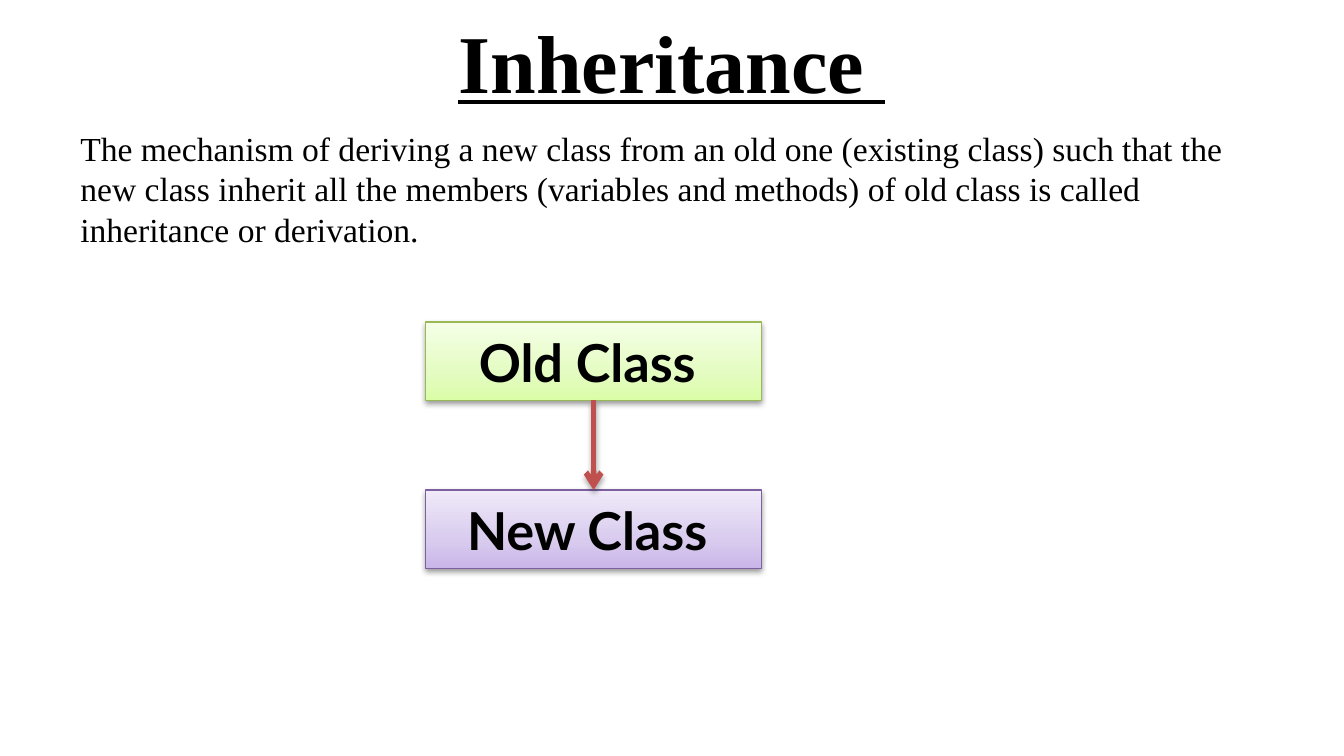
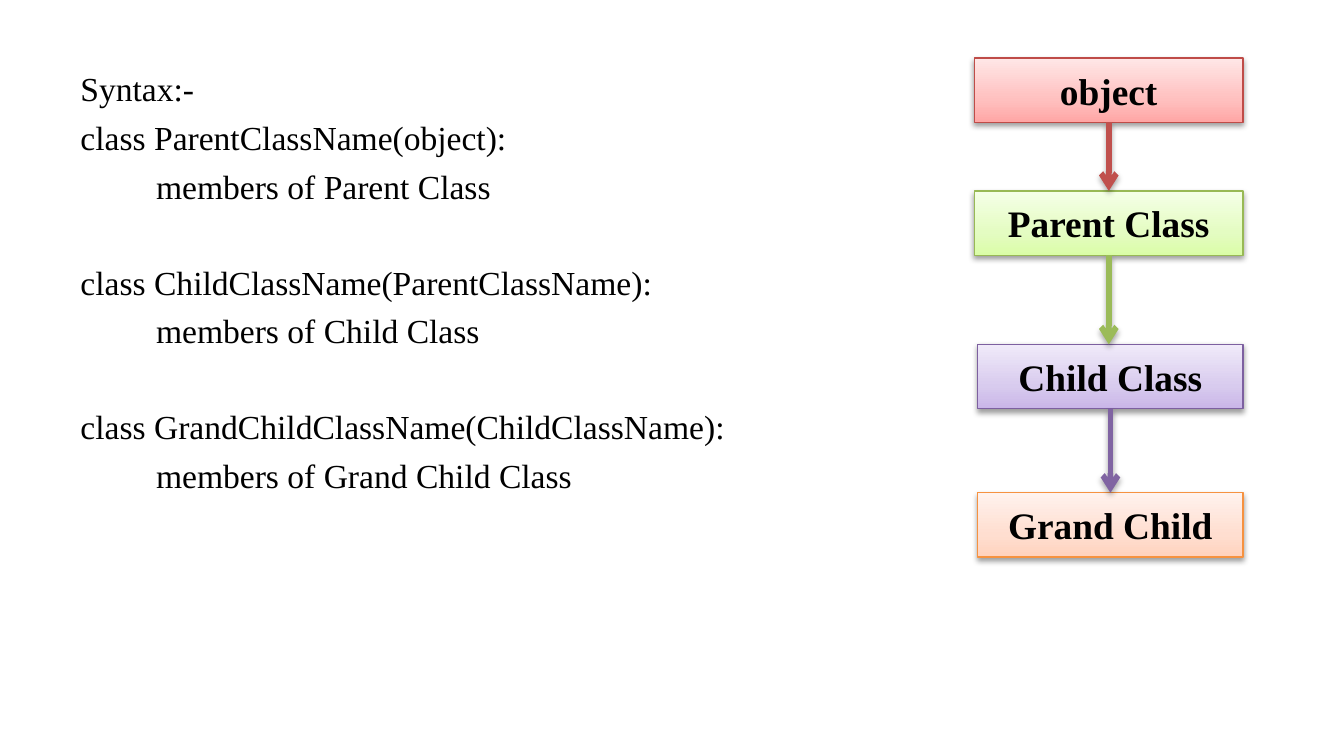
"""Build two slides on class inheritance: the definition and the syntax."""
from copy import deepcopy

from lxml.etree import SubElement
from pptx import Presentation
from pptx.dml.color import RGBColor as RGB
from pptx.enum.shapes import MSO_CONNECTOR as CONNECTOR, MSO_SHAPE as SHAPE
from pptx.enum.text import MSO_ANCHOR as ANCHOR, PP_ALIGN as ALIGN
from pptx.oxml.ns import qn
from pptx.util import Pt

SERIF, SANS = "Times New Roman", "Lato"
COLORS = {
    "text": "000000",
    "red_arrow": "C0504D",
    "green_arrow": "9BBB59",
    "purple_arrow": "8064A2",
    "red_line": "BF4C48",
    "green_line": "98B955",
    "purple_line": "7D60A0",
    "orange_line": "F69240",
}
GRADIENTS = {
    "red": ("FFA6A5", "FFC0BF", "FFE7E7"),
    "green": ("DAFDA7", "E4FCC2", "F5FFE7"),
    "purple": ("C9B5E8", "D8CBEE", "F0EAF9"),
    "orange": ("FFD2BD", "FFDED0", "FFF2ED"),
}
STOPS = (0, 0.35, 1)


def write(tf, text, font=SERIF, size=18, bold=False, underline=False,
          align=ALIGN.LEFT, before=0, indent=0):
    p = tf.add_paragraph() if tf.text else tf.paragraphs[0]
    p.alignment = align
    p.space_before = Pt(before)
    if indent:
        p._p.get_or_add_pPr().set("marL", str(Pt(indent)))
    r = p.add_run()
    r.text = text
    r.font.name, r.font.size = font, Pt(size)
    r.font.bold, r.font.underline = bold, underline
    r.font.color.rgb = RGB.from_string(COLORS["text"])


def add_shadow(spPr, alpha, dist):
    effects = spPr.find(qn("a:effectLst"))
    if effects is None:
        effects = SubElement(spPr, qn("a:effectLst"))
    shadow = SubElement(effects, qn("a:outerShdw"), blurRad=str(Pt(3.1)),
                        dist=str(Pt(dist)), dir="5400000", rotWithShape="0")
    color = SubElement(shadow, qn("a:srgbClr"), val="000000")
    SubElement(color, qn("a:alpha"), val=str(alpha * 1000))


prs = Presentation()
prs.slide_width, prs.slide_height = Pt(720), Pt(405)
definition, syntax = [prs.slides.add_slide(prs.slide_layouts[6]) for _ in range(2)]

frames = []
for s, x, y, w, h in (
    (definition, 36, -1.5, 648, 67.5),
    (definition, 36, 65, 648, 108),
    (syntax, 36, 33, 456, 325.5),
):
    tf = s.shapes.add_textbox(Pt(x), Pt(y), Pt(w), Pt(h)).text_frame
    tf.word_wrap = True
    frames.append(tf)
title, body, code = frames

title.vertical_anchor = ANCHOR.MIDDLE
write(title, "Inheritance ", size=44, bold=True, underline=True, align=ALIGN.CENTER)
write(body, "The mechanism of deriving a new class from an old one (existing class) "
      "such that the new class inherit all the members (variables and methods) "
      "of old class is called inheritance or derivation.", before=4.5)

write(code, "Syntax:-", before=4.5)
for header, members, before in (
    ("ParentClassName(object):", "Parent Class", 4.5),
    ("ChildClassName(ParentClassName):", "Child Class", 29.8),
    ("GrandChildClassName(ChildClassName):", "Grand Child Class", 29.8),
):
    write(code, f"class {header}", before=before)
    write(code, f"members of {members}", before=4.5, indent=40.5)

chains = (
    (definition, 42, dict(font=SANS, size=28), (
        ("Old Class ", "green", 228, 172.5, 180, "red"),
        ("New Class ", "purple", 228, 262.5, 180, None),
    )),
    (syntax, 34.5, dict(size=20), (
        ("object", "red", 522, 31, 144, "red"),
        ("Parent Class", "green", 522, 102.25, 144, "green"),
        ("Child Class", "purple", 523.8, 184.5, 142.2, "purple"),
        ("Grand Child", "orange", 523.8, 264, 142.2, None),
    )),
)
for s, height, style, boxes in chains:
    for text, color, x, y, w, _ in boxes:
        sp = s.shapes.add_shape(SHAPE.RECTANGLE, Pt(x), Pt(y), Pt(w), Pt(height))
        sp.fill.gradient()
        sp.fill.gradient_angle = 90
        stop_list = sp._element.spPr.find(".//" + qn("a:gsLst"))
        stop_list.insert(1, deepcopy(stop_list[0]))
        for stop, position, tint in zip(sp.fill.gradient_stops, STOPS, GRADIENTS[color]):
            stop.position = position
            stop.color.rgb = RGB.from_string(tint)
        sp.line.color.rgb = RGB.from_string(COLORS[f"{color}_line"])
        sp.line.width = Pt(0.75)
        sp.shadow.inherit = False
        add_shadow(sp._element.spPr, alpha=38, dist=1.6)
        tf = sp.text_frame
        tf.word_wrap = True
        tf.vertical_anchor = ANCHOR.MIDDLE
        write(tf, text, bold=True, align=ALIGN.CENTER, **style)

    for (_, _, x, y, w, color), below in zip(boxes, boxes[1:]):
        center = Pt(x + w / 2)
        arrow = s.shapes.add_connector(CONNECTOR.STRAIGHT, center, Pt(y + height),
                                       center, Pt(below[3]))
        arrow.line.color.rgb = RGB.from_string(COLORS[f"{color}_arrow"])
        arrow.line.width = Pt(3)
        SubElement(arrow.line._get_or_add_ln(), qn("a:tailEnd"), type="arrow")
        add_shadow(arrow._element.spPr, alpha=35, dist=1.8)

prs.save("out.pptx")
